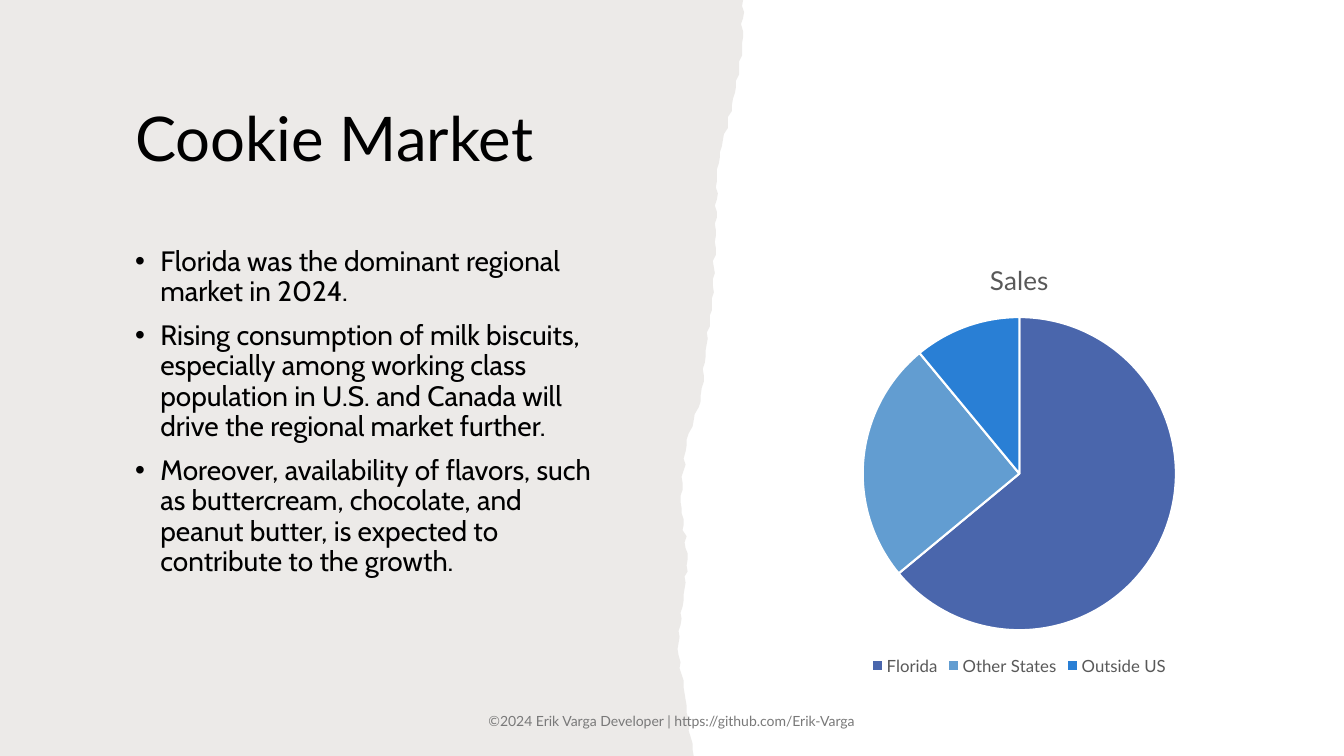
import math
from dataclasses import dataclass
from itertools import pairwise

from lxml import etree
from pptx import Presentation
from pptx import util as u
from pptx.chart import data as chart_data
from pptx.dml import color
from pptx.enum import chart as chart_enum
from pptx.enum import text
from pptx.oxml import ns

PX = 9144  # EMU in one px, 100 px to the inch
PAGE_WIDTH, PAGE_HEIGHT = 1333, 750


@dataclass(frozen=True)
class Theme:
    heading_font: str = "Lato"
    body_font: str = "Cabin"
    ink: str = "000000"
    muted: str = "797979"
    chart_ink: str = "595959"
    paper: str = "82766A"
    paper_alpha: int = 15
    white: str = "FFFFFF"
    slices: tuple = ("4A66AC", "629DD1", "297FD5")
    title_size: float = 44
    body_size: float = 20
    footer_size: float = 10
    chart_title_size: float = 18.6
    legend_size: float = 12


def apply(target, values):
    for name, value in values.items():
        setattr(target, name, value)


def torn_edge(bends, step, roughness):
    """Join the bends (y: x), adding a small ripple between them."""
    points = []
    for (top, start), (bottom, end) in pairwise(bends.items()):
        count = max(1, round((bottom - top) / step))
        for number in range(count):
            share = number / count
            y = top + (bottom - top) * share
            fade = math.sin(math.pi * share)  # no ripple at the bends
            ripple = roughness * fade * math.sin(y * 0.7)
            points.append((start + (end - start) * share + ripple, y))
    last = max(bends)
    return points + [(bends[last], last)]


class SlideBuilder:
    def __init__(self, deck, theme):
        self.theme = theme
        self.page = deck.slides.add_slide(deck.slide_layouts[1])

    def tone(self, code):
        return color.RGBColor.from_string(code)

    def style(self, font, family, size, ink):
        apply(font, {"name": family, "size": u.Pt(size), "bold": False})
        font.color.rgb = self.tone(ink)

    def place(self, box, left, top, width, height):
        apply(box, {"left": left * PX, "top": top * PX,
                    "width": width * PX, "height": height * PX})

    def fill_box(self, box, lines, anchor, family, size, ink, layout):
        frame = box.text_frame
        apply(frame, {"word_wrap": True, "vertical_anchor": anchor,
                      "auto_size": text.MSO_AUTO_SIZE.NONE})
        for number, line in enumerate(lines):
            para = frame.add_paragraph() if number else frame.paragraphs[0]
            apply(para, layout)
            if number == 0:
                para.space_before = u.Pt(0)
            span = para.add_run()
            span.text = line
            self.style(span.font, family, size, ink)
        return frame.paragraphs

    def paper(self, edge):
        builder = self.page.shapes.build_freeform(0, 0, scale=PX)
        builder.add_line_segments(edge + [(0, PAGE_HEIGHT)], close=True)
        sheet = builder.convert_to_shape()
        sheet.shadow.inherit = False
        sheet.line.fill.background()
        sheet.fill.solid()
        sheet.fill.fore_color.rgb = self.tone(self.theme.paper)
        tint = sheet._element.spPr.find(".//" + ns.qn("a:srgbClr"))
        etree.SubElement(tint, ns.qn("a:alpha"), val=str(self.theme.paper_alpha * 1000))
        # Behind the placeholders
        self.page.shapes._spTree.insert(2, sheet._element)

    def title(self, words, *area):
        box = self.page.shapes.title
        self.place(box, *area)
        self.fill_box(box, [words], text.MSO_ANCHOR.MIDDLE,
                      self.theme.heading_font, self.theme.title_size, self.theme.ink,
                      {"alignment": text.PP_ALIGN.LEFT, "line_spacing": 0.9})

    def bullets(self, lines, indent, *area):
        box = self.page.placeholders[1]
        self.place(box, *area)
        paras = self.fill_box(box, lines, text.MSO_ANCHOR.TOP,
                              self.theme.body_font, self.theme.body_size, self.theme.ink,
                              {"line_spacing": 0.9, "space_before": u.Pt(10)})
        for para in paras:
            props = para._p.get_or_add_pPr()
            props.set("marL", str(indent * PX))
            props.set("indent", str(-indent * PX))
            etree.SubElement(props, ns.qn("a:buFont"), typeface="Arial")
            etree.SubElement(props, ns.qn("a:buChar"), char="•")

    def footer(self, words, *area):
        box = self.page.shapes.add_textbox(0, 0, 0, 0)
        self.place(box, *area)
        self.fill_box(box, [words], text.MSO_ANCHOR.MIDDLE,
                      self.theme.heading_font, self.theme.footer_size, self.theme.muted,
                      {"alignment": text.PP_ALIGN.CENTER, "space_after": u.Pt(6)})

    def pie(self, name, shares, *area):
        theme = self.theme
        table = chart_data.CategoryChartData()
        table.categories = list(shares)
        table.add_series(name, list(shares.values()))
        chart = self.page.shapes.add_chart(
            chart_enum.XL_CHART_TYPE.PIE, *(side * PX for side in area), table).chart
        self.style(chart.font, theme.heading_font, theme.footer_size, theme.ink)

        # Heading and legend
        apply(chart, {"has_title": True, "has_legend": True})
        heading = chart.chart_title.text_frame.paragraphs[0].add_run()
        heading.text = name
        self.style(heading.font, theme.heading_font, theme.chart_title_size, theme.chart_ink)
        apply(chart.legend, {"position": chart_enum.XL_LEGEND_POSITION.BOTTOM,
                             "include_in_layout": False})
        self.style(chart.legend.font, theme.heading_font, theme.legend_size, theme.chart_ink)

        # Slices
        plot = chart.plots[0]
        plot.vary_by_categories = True
        for number, code in enumerate(theme.slices):
            look = plot.series[0].points[number].format
            look.fill.solid()
            look.fill.fore_color.rgb = self.tone(code)
            look.line.width = u.Pt(1.5)
            look.line.color.rgb = self.tone(theme.white)


def main():
    deck = Presentation()
    apply(deck, {"slide_width": PAGE_WIDTH * PX, "slide_height": PAGE_HEIGHT * PX})
    slide = SlideBuilder(deck, Theme())

    # Torn paper on the left: main bends of its edge, as y: x
    bends = {0: 737, 49: 736, 92: 729, 145: 716, 168: 711, 234: 710, 302: 706,
             347: 700, 398: 695, 436: 681, 498: 675, 555: 682, 590: 678,
             644: 672, 688: 679, PAGE_HEIGHT: 688}
    slide.paper([(0, 0)] + torn_edge(bends, step=6, roughness=1.5))

    # Text column
    column_left = 124
    slide.title("Cookie Market", column_left, 67, 523, 146)
    slide.bullets([
        "Florida was the dominant regional market in 2024.",
        "Rising consumption of milk biscuits, especially among working class "
        "population in U.S. and Canada will drive the regional market further.",
        "Moreover, availability of flavors, such as buttercream, chocolate, and "
        "peanut butter, is expected to contribute to the growth.",
    ], 25, column_left, 240, 485, 427)

    # Footer, centred on the page
    footer_width = 450
    slide.footer("©2024 Erik Varga Developer | https://github.com/Erik-Varga",
                 (PAGE_WIDTH - footer_width) // 2, 695, footer_width, 40)

    # Sales by region
    slide.pie("Sales", {"Florida": 64, "Other States": 25, "Outside US": 11},
              752, 240, 518, 434)

    deck.save("out.pptx")


if __name__ == "__main__":
    main()
